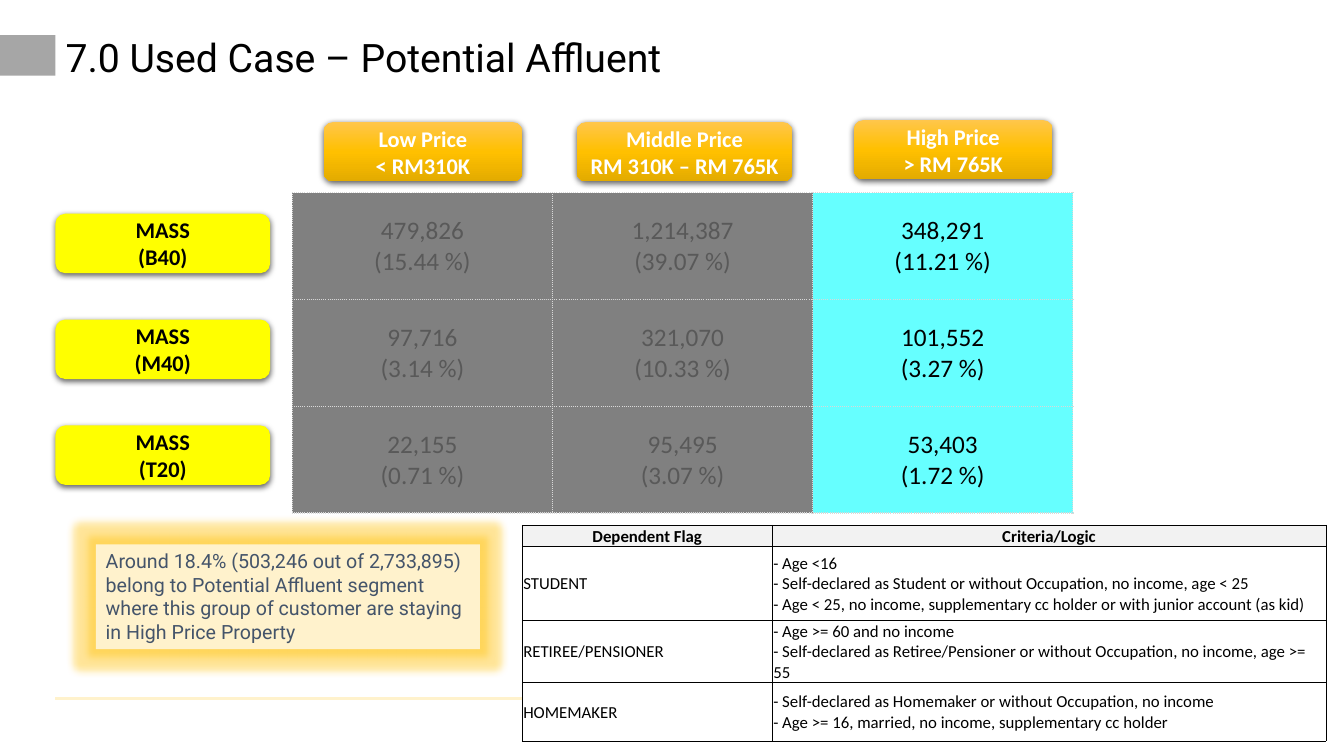
"""Build the slide on the potential affluent customer segment."""
from dataclasses import dataclass

from lxml.etree import SubElement
from pptx import Presentation
from pptx.dml.color import RGBColor
from pptx.enum.shapes import MSO_CONNECTOR, MSO_SHAPE
from pptx.enum.text import MSO_ANCHOR, MSO_AUTO_SIZE, PP_ALIGN
from pptx.oxml.ns import qn
from pptx.util import Inches, Pt

COLORS = {
    "black": "000000", "white": "FFFFFF", "marker": "A6A6A6", "cream": "FFF2CC",
    "gold_light": "FFC64B", "gold": "FFC000", "gold_dark": "E3AB00", "yellow": "FFFF00",
    "muted_fill": "808080", "muted_text": "595959", "cyan": "66FFFF",
    "grid": "D9D9D9", "header": "F2F2F2", "slate": "44546A",
}


@dataclass
class Label:
    text: str
    left: float
    top: float
    width: float
    color: str
    fill: str


@dataclass
class Cell:
    text: str
    fill: str
    color: str = "black"
    size: int = 12
    bold: bool = False
    align: PP_ALIGN = PP_ALIGN.LEFT


@dataclass
class Grid:
    left: float
    top: float
    columns: list[float]
    rows: list[float]
    cells: list[list[Cell]]
    border: str
    border_width: float
    dash: str


LABELS = [
    Label("Low Price\n< RM310K", 3.21, 1.21, 1.97, "white", "gold"),
    Label("Middle Price\nRM 310K – RM 765K", 5.72, 1.21, 2.14, "white", "gold"),
    Label("High Price\n> RM 765K", 8.47, 1.19, 1.97, "white", "gold"),
] + [
    Label(f"MASS\n({group})", 0.55, 2.12 + 1.05 * index, 2.13, "black", "yellow")
    for index, group in enumerate(["B40", "M40", "T20"])
]

COUNTS = [
    ["479,826\n(15.44 %)", "1,214,387\n(39.07 %)", "348,291\n(11.21 %)"],
    ["97,716\n(3.14 %)", "321,070\n(10.33 %)", "101,552\n(3.27 %)"],
    ["22,155\n(0.71 %)", "95,495\n(3.07 %)", "53,403\n(1.72 %)"],
]

CRITERIA = [
    ("STUDENT", "- Age <16\n"
     "- Self-declared as Student or without Occupation, no income, age < 25\n"
     "- Age < 25, no income, supplementary cc holder or with junior account (as kid)"),
    ("RETIREE/PENSIONER", "- Age >= 60 and no income\n"
     "- Self-declared as Retiree/Pensioner or without Occupation, no income, age >= 55"),
    ("HOMEMAKER", "- Self-declared as Homemaker or without Occupation, no income\n"
     "- Age >= 16, married, no income, supplementary cc holder"),
]


def rgb(name: str) -> RGBColor:
    """Return the named colour."""
    return RGBColor.from_string(COLORS[name])


def write_text(frame, text: str, *, size: int, color: str, font: str = "Calibri",
               bold: bool = False, align: PP_ALIGN = PP_ALIGN.LEFT,
               spacing: float = 1.0) -> None:
    """Write one formatted paragraph per line of text."""
    for index, line in enumerate(text.split("\n")):
        paragraph = frame.paragraphs[0] if index == 0 else frame.add_paragraph()
        paragraph.alignment = align
        paragraph.line_spacing = spacing
        run = paragraph.add_run()
        run.text = line
        run.font.size = Pt(size)
        run.font.name = font
        run.font.bold = bold
        run.font.color.rgb = rgb(color)


def add_color(parent, name: str, alpha: int = 100) -> None:
    """Append a colour element with the given opacity."""
    color = SubElement(parent, qn("a:srgbClr"), val=COLORS[name])
    if alpha < 100:
        SubElement(color, qn("a:alpha"), val=str(alpha * 1000))


def add_effect(shape, tag: str, color: str, alpha: int, **settings: str) -> None:
    """Give the shape a single visual effect."""
    shape.shadow.inherit = False
    effects = shape._element.spPr.find(qn("a:effectLst"))
    add_color(SubElement(effects, qn(tag), **settings), color, alpha)


def add_box(slide, preset: MSO_SHAPE, left: float, top: float, width: float,
            height: float, fill: str):
    """Add a filled shape without outline or shadow."""
    shape = slide.shapes.add_shape(
        preset, Inches(left), Inches(top), Inches(width), Inches(height))
    shape.fill.solid()
    shape.fill.fore_color.rgb = rgb(fill)
    shape.line.fill.background()
    shape.shadow.inherit = False
    return shape


def add_label(slide, label: Label) -> None:
    """Add a rounded label with a soft shadow."""
    shape = add_box(slide, MSO_SHAPE.ROUNDED_RECTANGLE, label.left, label.top,
                    label.width, 0.59, label.fill)
    if label.fill == "gold":
        shape.fill.gradient()
        shape.fill.gradient_angle = 270
        stops = shape._element.spPr.find(qn("a:gradFill")).find(qn("a:gsLst"))
        stops.clear()
        for position, name in enumerate(["gold_light", "gold", "gold_dark"]):
            add_color(SubElement(stops, qn("a:gs"), pos=str(position * 50000)), name)
    add_effect(shape, "a:outerShdw", "black", 63, blurRad=str(Pt(4.5)),
               dist=str(Pt(1.5)), dir="5400000", algn="ctr", rotWithShape="0")
    shape.text_frame.vertical_anchor = MSO_ANCHOR.MIDDLE
    write_text(shape.text_frame, label.text, size=16, color=label.color, bold=True,
               align=PP_ALIGN.CENTER)


def add_grid(slide, grid: Grid) -> None:
    """Add a table with uniform borders."""
    table = slide.shapes.add_table(
        len(grid.rows), len(grid.columns), Inches(grid.left), Inches(grid.top),
        Inches(sum(grid.columns)), Inches(sum(grid.rows))).table
    table.first_row = table.horz_banding = False
    for column, width in zip(table.columns, grid.columns):
        column.width = Inches(width)
    for row, height, contents in zip(table.rows, grid.rows, grid.cells):
        row.height = Inches(height)
        for cell, content in zip(row.cells, contents):
            cell.margin_left = cell.margin_right = cell.margin_top = Inches(0.01)
            cell.margin_bottom = 0
            cell.vertical_anchor = MSO_ANCHOR.MIDDLE
            properties = cell._tc.get_or_add_tcPr()
            for side in ("a:lnL", "a:lnR", "a:lnT", "a:lnB"):
                line = SubElement(properties, qn(side), w=str(Pt(grid.border_width)))
                add_color(SubElement(line, qn("a:solidFill")), grid.border)
                SubElement(line, qn("a:prstDash"), val=grid.dash)
            cell.fill.solid()
            cell.fill.fore_color.rgb = rgb(content.fill)
            write_text(cell.text_frame, content.text, size=content.size,
                       color=content.color, bold=content.bold, align=content.align)


def count_cell(text: str, column: int) -> Cell:
    """Return a customer count, highlighted in the high price column."""
    fill, color = ("cyan", "black") if column == 2 else ("muted_fill", "muted_text")
    return Cell(text, fill, color, 18, align=PP_ALIGN.CENTER)


def main() -> None:
    """Build and save the presentation."""
    presentation = Presentation()
    presentation.slide_width, presentation.slide_height = Inches(13.33), Inches(7.5)
    slide = presentation.slides.add_slide(presentation.slide_layouts[5])

    footer = slide.shapes.add_connector(
        MSO_CONNECTOR.STRAIGHT, Inches(0.55), Inches(6.93), Inches(12.88), Inches(6.93))
    footer.line.color.rgb = rgb("cream")
    footer.line.width = Pt(1.75)
    SubElement(footer._element.spPr, qn("a:effectLst"))
    add_box(slide, MSO_SHAPE.RECTANGLE, 0, 0.35, 0.55, 0.4, "marker")

    title = slide.shapes.title
    title.left, title.top = Inches(0.55), Inches(0.27)
    title.width, title.height = Inches(11.86), Inches(0.64)
    title.text_frame.auto_size = MSO_AUTO_SIZE.NONE
    title.text_frame.vertical_anchor = MSO_ANCHOR.MIDDLE
    write_text(title.text_frame, "7.0 Used Case – Potential Affluent", size=28,
               color="black", font="Roboto", spacing=0.9)

    for label in LABELS:
        add_label(slide, label)
    counts = [[count_cell(text, column) for column, text in enumerate(row)] for row in COUNTS]
    add_grid(slide, Grid(2.9, 1.91, [2.58] * 3, [1.06] * 3, counts, "grid", 1, "sysDot"))

    note = add_box(slide, MSO_SHAPE.RECTANGLE, 0.95, 5.4, 3.81, 1.04, "cream")
    add_effect(note, "a:glow", "gold", 40, rad=str(Pt(11)))
    note.text_frame.word_wrap = True
    note.text_frame.vertical_anchor = MSO_ANCHOR.TOP
    write_text(note.text_frame, "Around 18.4% (503,246 out of 2,733,895) belong to Potential "
               "Affluent segment where this group of customer are staying in High Price Property",
               size=14, color="slate", font="Roboto")

    header = [Cell(text, "header", bold=True, align=PP_ALIGN.CENTER)
              for text in ("Dependent Flag", "Criteria/Logic")]
    criteria = [[Cell(text, "white") for text in row] for row in CRITERIA]
    add_grid(slide, Grid(5.18, 5.21, [2.48, 5.49], [0.17, 0.73, 0.5, 0.58],
                         [header] + criteria, "black", 0.5, "solid"))
    presentation.save("out.pptx")


if __name__ == "__main__":
    main()
